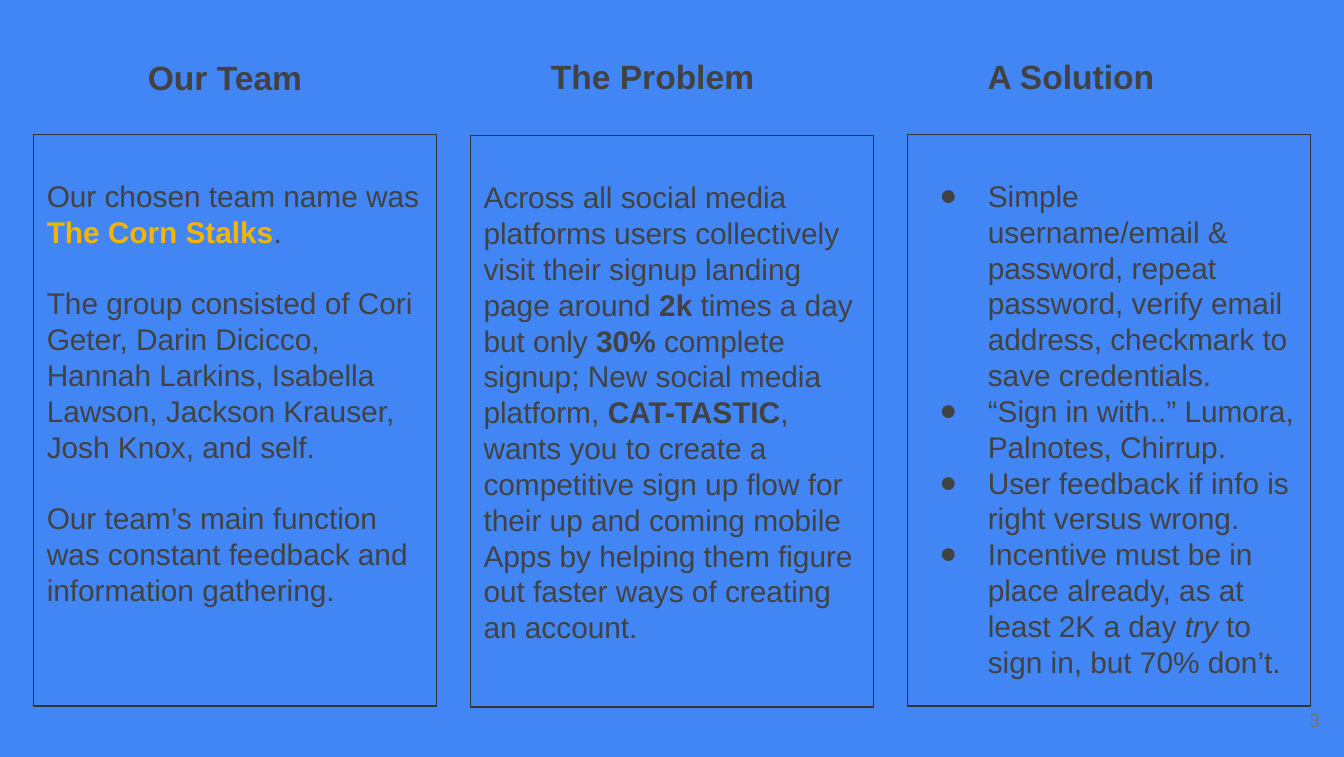
from dataclasses import dataclass
import pptx
import pptx.util
import pptx.dml.color
import pptx.enum.shapes
import pptx.enum.text
from pptx.util import Inches, Pt
from lxml import etree

INK = "424242"
GOLD = "F4B400"
Run = tuple[str, dict]


@dataclass
class Panel:
    head: str
    inset: float
    width: float
    top: float
    paras: list[list[Run]]
    list: bool = False


def color(code: str) -> pptx.dml.color.RGBColor:
    return pptx.dml.color.RGBColor.from_string(code)


def add_text(para, text: str, size=16, font="Arial", ink=INK, bold=False, italic=False) -> None:
    run = para.add_run()
    run.text = text
    face = run.font
    face.size, face.name = Pt(size), font
    face.bold, face.italic = bold, italic
    face.color.rgb = color(ink)


def place(shape, left: float, top: float, width: float, height: float) -> None:
    shape.left, shape.top = Inches(left), Inches(top)
    shape.width, shape.height = Inches(width), Inches(height)


def set_frame(shape, top: float = 0.05):
    frame = shape.text_frame
    frame.word_wrap = True
    frame.auto_size = pptx.enum.text.MSO_AUTO_SIZE.NONE
    frame.vertical_anchor = pptx.enum.text.MSO_ANCHOR.TOP
    frame.margin_left = frame.margin_right = Inches(0.1)
    frame.margin_top, frame.margin_bottom = Inches(top), Inches(0.05)
    return frame


def set_para(para, size: float, before: float = 0) -> None:
    para.alignment = pptx.enum.text.PP_ALIGN.LEFT
    para.line_spacing = Pt(size * 1.2)
    para.space_before = Pt(before)
    para.space_after = Pt(0)


def add_bullet(para) -> None:
    props = para._p.get_or_add_pPr()
    props.set("marL", str(Inches(0.5)))
    props.set("indent", str(Inches(-0.36)))
    space = pptx.oxml.ns.nsdecls("a")
    props.append(pptx.oxml.parse_xml(
        f'<a:buClr {space}><a:srgbClr val="{INK}"/></a:buClr>'))
    mark = etree.SubElement(props, pptx.oxml.ns.qn("a:buChar"))
    mark.set("char", "●")


def draw_head(shape, panel: Panel, left: float) -> None:
    place(shape, left + panel.inset, 0.37, panel.width, 0.38)
    para = set_frame(shape).paragraphs[0]
    set_para(para, 18)
    add_text(para, panel.head, size=18, bold=True)


def draw_body(shape, panel: Panel, left: float) -> None:
    place(shape, left, panel.top, 3, 4.25)
    shape.fill.background()
    shape.line.color.rgb = color("333333")
    shape.line.width = Pt(0.75)
    frame = set_frame(shape, 0.32)
    for i, runs in enumerate(panel.paras):
        para = frame.add_paragraph() if i else frame.paragraphs[0]
        set_para(para, 16, 19.2 if i and not panel.list else 0)
        if panel.list:
            add_bullet(para)
        for text, style in runs:
            add_text(para, text, **style)


BOLD = {"bold": True}
PANELS = [
    Panel("Our Team", 0.75, 1.5, 1, [
        [("Our chosen team name was ", {}),
         ("The Corn Stalks", {"bold": True, "ink": GOLD}), (".", {})],
        [("The group consisted of Cori Geter, Darin Dicicco, Hannah Larkins, "
          "Isabella Lawson, Jackson Krauser, Josh Knox, and self.", {})],
        [("Our team’s main function was constant feedback and "
          "information gathering.", {})],
    ]),
    Panel("The Problem", 0.5, 1.75, 1.01, [
        [("Across all social media platforms users collectively visit their "
          "signup landing page around ", {}),
         ("2k", BOLD), (" times a day but only ", {}), ("30%", BOLD),
         (" complete signup; New social media platform, ", {}),
         ("CAT-TASTIC", BOLD),
         (", wants you to create a competitive sign up flow for their up and "
          "coming mobile Apps by helping them figure out faster ways of "
          "creating an account.", {})],
    ]),
    Panel("A Solution", 0.5, 2, 1, [
        [("Simple username/email & password, repeat password, verify email "
          "address, checkmark to save credentials.", {})],
        [("“Sign in with..” Lumora, Palnotes, Chirrup.", {})],
        [("User feedback if info is right versus wrong.", {})],
        [("Incentive must be in place already, as at least 2K a day ", {}),
         ("try", {"italic": True}), (" to sign in, but 70% don’t.", {})],
    ], list=True),
]


def main() -> None:
    deck = pptx.Presentation()
    deck.slide_width, deck.slide_height = Inches(10), Inches(5.63)
    slide = deck.slides.add_slide(deck.slide_layouts[1])
    slide.background.fill.solid()
    slide.background.fill.fore_color.rgb = color("4285F4")
    shapes = slide.shapes
    for i, panel in enumerate(PANELS):
        left = 0.25 + i * 3.25
        if panel.list:
            body = slide.placeholders[1]
        else:
            body = shapes.add_shape(pptx.enum.shapes.MSO_SHAPE.RECTANGLE, 0, 0, 0, 0)
            body.shadow.inherit = False
        draw_body(body, panel, left)
        head = shapes.add_textbox(0, 0, 0, 0) if i else shapes.title
        draw_head(head, panel, left)
    page = shapes.add_textbox(0, 0, 0, 0)
    place(page, 9.32, 5.14, 0.6, 0.43)
    frame = set_frame(page, 0.1)
    frame.margin_bottom = Inches(0.1)
    frame.vertical_anchor = pptx.enum.text.MSO_ANCHOR.MIDDLE
    para = frame.paragraphs[0]
    para.alignment = pptx.enum.text.PP_ALIGN.RIGHT
    add_text(para, "3", size=10, font="Roboto", ink="737373")
    deck.save("out.pptx")


if __name__ == "__main__":
    main()
